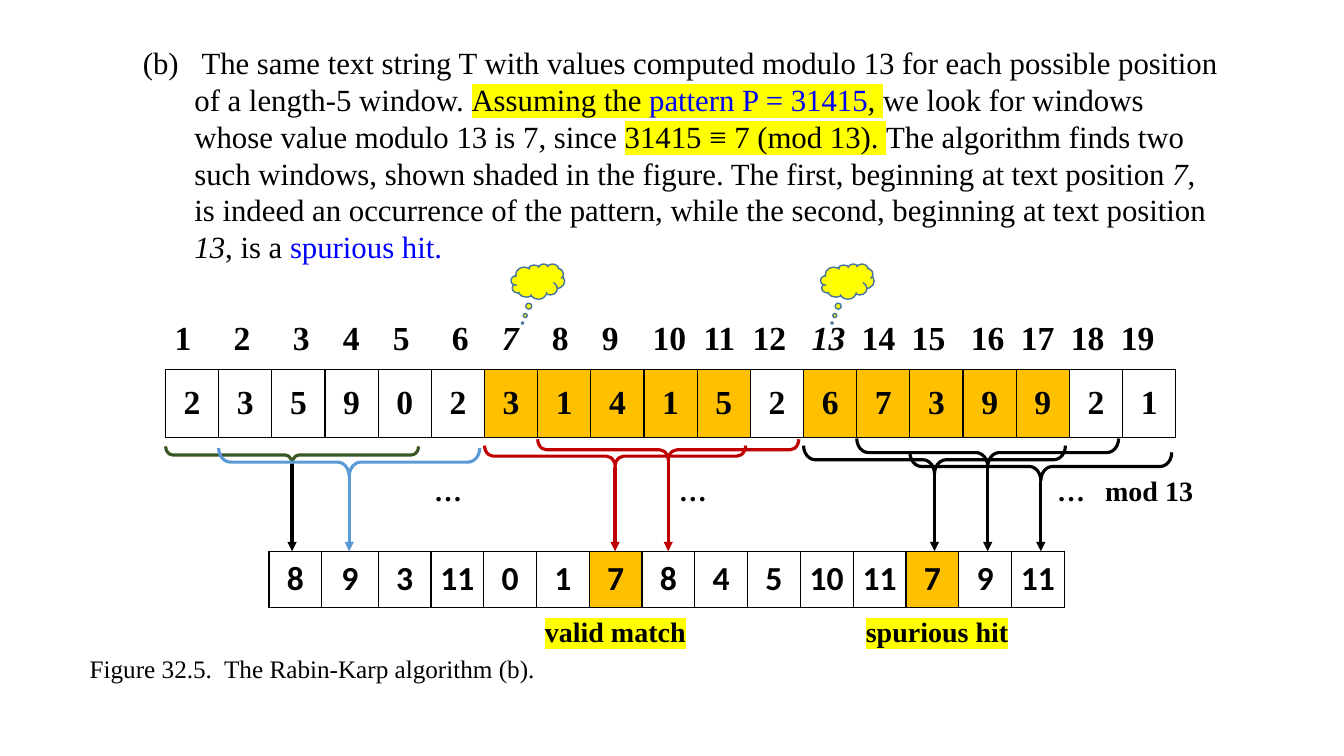
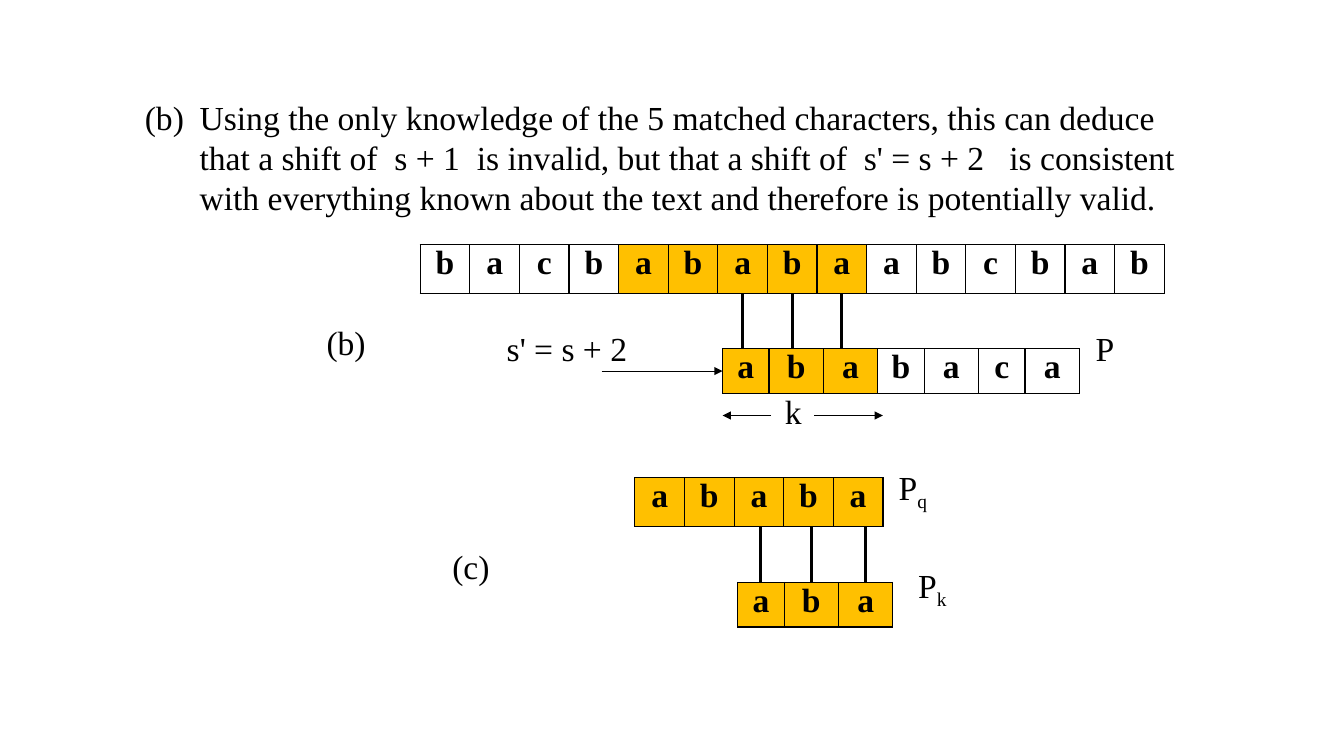
from dataclasses import dataclass
from itertools import accumulate

from lxml.etree import SubElement
from pptx import Presentation
from pptx.dml.color import RGBColor as RGB
from pptx.enum.shapes import MSO_CONNECTOR as LINK, MSO_SHAPE as SHAPE
from pptx.enum.text import MSO_ANCHOR as ANCHOR, PP_ALIGN as ALIGN
from pptx.oxml import parse_xml
from pptx.oxml.ns import nsdecls, qn
from pptx.util import Cm, Pt


@dataclass(frozen=True)
class Theme:
    serif = "Times New Roman"
    sans = "Calibri"
    ink = RGB(0, 0, 0)
    paper = RGB(255, 255, 255)
    shaded = RGB(0xFF, 0xC0, 0x00)
    marker = RGB(0xFF, 0xFF, 0x00)
    accent = RGB(0x00, 0x00, 0xFF)
    cloud_edge = RGB(0x43, 0x73, 0x9E)
    blue = RGB(0x5B, 0x9B, 0xD5)
    red = RGB(0xC0, 0x00, 0x00)
    green = RGB(0x38, 0x57, 0x23)
    large = Pt(24)
    body = Pt(22)
    label = Pt(20)
    caption = Pt(18)
    bold_line = Pt(2.25)
    thin_line = Pt(0.75)
    edge = Pt(1)


theme = Theme()


def add_text(slide, left, top, width, height, runs, size=theme.large, bold=False):
    box = slide.shapes.add_textbox(Cm(left), Cm(top), Cm(width), Cm(height))
    box.text_frame.word_wrap = True
    paragraph = box.text_frame.paragraphs[0]
    font = paragraph.font
    font.name, font.size, font.bold = theme.serif, size, bold
    font.color.rgb = theme.ink
    for words, *styles in runs:
        run = paragraph.add_run()
        run.text = words
        if "italic" in styles:
            run.font.italic = True
        if "accent" in styles:
            run.font.color.rgb = theme.accent
        if "marked" in styles:
            highlight = SubElement(run._r.get_or_add_rPr(), qn("a:highlight"))
            SubElement(highlight, qn("a:srgbClr"), val=str(theme.marker))
        if "sub" in styles:
            run._r.get_or_add_rPr().set("baseline", "-25000")
    return paragraph


def add_row(slide, left, top, height, widths, values, shaded, face=theme.serif, anchor=ANCHOR.TOP):
    table = slide.shapes.add_table(
        1, len(values), Cm(left), Cm(top), Cm(sum(widths)), Cm(height)).table
    table.first_row = table.horz_banding = False
    table.rows[0].height = Cm(height)
    for index, (value, width) in enumerate(zip(values, widths)):
        table.columns[index].width = Cm(width)
        cell = table.cell(0, index)
        cell.text = value
        cell.vertical_anchor = anchor
        cell.margin_left = cell.margin_right = Cm(0.18)
        cell.margin_top = cell.margin_bottom = 0
        cell.fill.solid()
        cell.fill.fore_color.rgb = theme.shaded if index in shaded else theme.paper
        paragraph = cell.text_frame.paragraphs[0]
        paragraph.alignment = ALIGN.CENTER
        font = paragraph.font
        font.name, font.size, font.bold = face, theme.large, True
        font.color.rgb = theme.ink
        for place, side in enumerate(("lnL", "lnR", "lnT", "lnB")):
            cell._tc.get_or_add_tcPr().insert(place, parse_xml(
                f'<a:{side} {nsdecls("a")} w="{theme.edge}"><a:solidFill>'
                f'<a:srgbClr val="{theme.ink}"/></a:solidFill></a:{side}>'))


deck = Presentation()
deck.slide_width, deck.slide_height = Cm(33.87), Cm(19.05)
blank = deck.slide_layouts[6]
hash_slide = deck.slides.add_slide(blank)
shift_slide = deck.slides.add_slide(blank)
lines = []

hash_intro = add_text(hash_slide, 3.35, 0.97, 27.58, 5.87, [
    ("(b)\t The same text string T with values computed modulo 13 for each possible "
     "position of a length-5 window. ",),
    ("Assuming the ", "marked"),
    ("pattern P = 31415", "marked", "accent"),
    (", ", "marked"),
    ("we look for windows whose value modulo 13 is 7, since ",),
    ("31415 ≡ 7 (mod 13). ", "marked"),
    ("The algorithm finds two such windows, shown shaded in the figure. "
     "The first, beginning at text position ",),
    ("7", "italic"),
    (", is indeed an occurrence of the pattern, while the second, "
     "beginning at text position ",),
    ("13", "italic"),
    (", is a ",),
    ("spurious hit.", "accent"),
], theme.body)

shift_intro = add_text(shift_slide, 3.18, 2.31, 27.36, 3.33, [
    ("(b)\tUsing the only knowledge of the 5 matched characters, this can deduce that "
     "a shift of  s + 1  is invalid, but that a shift of  s' = s + 2   is consistent "
     "with everything known about the text and therefore is potentially valid.",)])

for intro, margin, hang in ((hash_intro, 1.3, 1.3), (shift_intro, 1.6, 1.38)):
    properties = intro._p.get_or_add_pPr()
    properties.set("marL", str(Cm(margin)))
    properties.set("indent", str(-Cm(hang)))

for cloud_left in (12.88, 20.68):
    cloud = hash_slide.shapes.add_shape(
        SHAPE.CLOUD_CALLOUT, Cm(cloud_left), Cm(6.65), Cm(1.35), Cm(0.89))
    cloud.adjustments[0], cloud.adjustments[1] = -0.286, 1.176
    cloud.shadow.inherit = False
    cloud.fill.solid()
    cloud.fill.fore_color.rgb = theme.marker
    cloud.line.color.rgb = theme.cloud_edge
    cloud.line.width = theme.edge

digits = "2359023141526739921"
window = 5
match_start, spurious_start = 6, 12
digits_left, digit_width = 4.17, 1.34
hashes = "8 9 3 11 0 1 7 8 4 5 10 11 7 9 11".split()
hashes_top, hash_width, wide_hash_width = 13.89, 1.33, 1.42

positions = range(1, len(digits) + 1)
hit_positions = {match_start + 1, spurious_start + 1}
first_centre, step, wide_step = 0.44, 1.26, 1.49
after_wide_step = {2, 3, 6, 10, 13, 16}
position_row = add_text(
    hash_slide, 3.92, 7.85, 26.2, 1.27,
    [(f"\t{n}", "italic" if n in hit_positions else "") for n in positions], bold=True)
tab_list = parse_xml(f'<a:tabLst {nsdecls("a")}/>')
for centre in accumulate(
        (wide_step if n in after_wide_step else step for n in positions[1:]),
        initial=first_centre):
    SubElement(tab_list, qn("a:tab"), pos=str(Cm(centre)), algn="ctr")
position_row._p.get_or_add_pPr().insert(0, tab_list)

hit_cells = {start + offset for start in (match_start, spurious_start) for offset in range(window)}
add_row(hash_slide, digits_left, 9.32, 1.7, [digit_width] * len(digits), digits,
        hit_cells, anchor=ANCHOR.MIDDLE)
add_row(hash_slide, 6.78, hashes_top, 1.42,
        [wide_hash_width if index == 1 else hash_width for index in range(len(hashes))],
        hashes, {index for index, value in enumerate(hashes) if value == "7"},
        theme.sans, ANCHOR.MIDDLE)

for start, top, span, depth, brace_colour, arrow_colour in (
    (0, 11.25, 6.38, 0.43, theme.green, theme.ink),
    (1, 11.29, 6.58, 0.71, theme.blue, theme.blue),
    (match_start, 11.23, 6.58, 0.53, theme.red, theme.red),
    (match_start + 1, 11.07, 6.58, 0.53, theme.red, theme.red),
    (spurious_start, 11.23, 6.6, 0.71, theme.ink, theme.ink),
    (spurious_start + 1, 11.05, 6.6, 0.71, theme.ink, theme.ink),
    (spurious_start + 2, 11.4, 6.6, 0.71, theme.ink, theme.ink),
):
    centre = digits_left + start * digit_width + span / 2
    tip = top + depth
    brace = hash_slide.shapes.add_shape(
        SHAPE.RIGHT_BRACE, Cm(centre - depth / 2), Cm(top + depth / 2 - span / 2),
        Cm(depth), Cm(span))
    brace.rotation = 90
    brace.adjustments[0], brace.adjustments[1] = 0.412, 0.5
    brace.shadow.inherit = False
    brace.fill.background()
    brace.line.color.rgb = brace_colour
    brace.line.width = theme.bold_line
    lines.append((hash_slide, centre, tip, centre, hashes_top,
                  arrow_colour, theme.bold_line, True))

modulo_top, verdict_top = 11.81, 15.37
for left, top, words, *styles in (
    (10.69, modulo_top, "…"),
    (16.86, modulo_top, "…"),
    (26.39, modulo_top, "…"),
    (27.6, modulo_top, "mod 13"),
    (13.48, verdict_top, "valid match", "marked"),
    (21.57, verdict_top, "spurious hit", "marked"),
):
    add_text(hash_slide, left, top, 5, 1.12, [(words, *styles)], theme.label, True)

add_text(hash_slide, 2.01, 16.33, 12.5, 1.02,
         [("Figure 32.5.  The Rabin-Karp algorithm (b).",)], theme.caption)

text, pattern = "bacbababaabcbab", "ababaca"
matched, overlap = 5, 3
match_left = 4
letter_width, letter_height, pattern_height = 1.25, 1.22, 1.12
pattern_widths = [1.17, 1.37, 1.37, 1.17, 1.37, 1.17, 1.37]
text_left, text_top = 10.59, 6.17
pattern_left, pattern_top = 18.21, 8.79
prefix_top, overlap_left, overlap_top = 12.04, 18.59, 14.68

for left, top, height, widths, letters, shaded in (
    (text_left, text_top, letter_height, [letter_width] * len(text), text,
     range(match_left, match_left + matched)),
    (pattern_left, pattern_top, pattern_height, pattern_widths, pattern, range(overlap)),
    (16, prefix_top, letter_height, [letter_width] * matched, pattern[:matched], range(matched)),
    (overlap_left, overlap_top, pattern_height, pattern_widths[:overlap],
     pattern[:overlap], range(overlap)),
):
    add_row(shift_slide, left, top, height, widths, letters, shaded)

for left, top, width, *runs in (
    (7.98, 7.98, 1.63, ("(b)",)),
    (11.15, 13.64, 1.63, ("(c)",)),
    (12.52, 8.15, 4.2, ("s' = s + 2",)),
    (27.36, 8.13, 1.22, ("P",)),
    (19.53, 9.73, 1.22, ("k",)),
    (22.4, 11.63, 1.85, ("P",), ("q", "sub")),
    (22.89, 14.1, 2.13, ("P",), ("k", "sub")),
):
    add_text(shift_slide, left, top, width, 1.27, runs)

shifted_start = match_left + matched - overlap
text_centres = [text_left + (shifted_start + index + 0.5) * letter_width
                for index in range(overlap)]
overlap_centres = [overlap_left + sum(pattern_widths[:index]) + pattern_widths[index] / 2
                   for index in range(overlap)]
for centres, upper_top, lower_top in (
    (text_centres, text_top, pattern_top),
    (overlap_centres, prefix_top, overlap_top),
):
    for centre in centres:
        lines.append((shift_slide, centre, upper_top + letter_height, centre, lower_top,
                      theme.ink, theme.bold_line, False))

shift_y, span_y = 9.35, 10.47
for start_x, end_x, y in (
    (15.16, pattern_left, shift_y),
    (19.43, pattern_left, span_y),
    (20.52, 22.25, span_y),
):
    lines.append((shift_slide, start_x, y, end_x, y, theme.ink, theme.thin_line, True))

for slide, start_x, start_y, end_x, end_y, colour, weight, arrow in lines:
    link = slide.shapes.add_connector(
        LINK.STRAIGHT, Cm(start_x), Cm(start_y), Cm(end_x), Cm(end_y))
    link.line.color.rgb = colour
    link.line.width = weight
    if arrow:
        SubElement(link.line._get_or_add_ln(), qn("a:tailEnd"), type="triangle")
    SubElement(link._element.spPr, qn("a:effectLst"))

deck.save("out.pptx")
